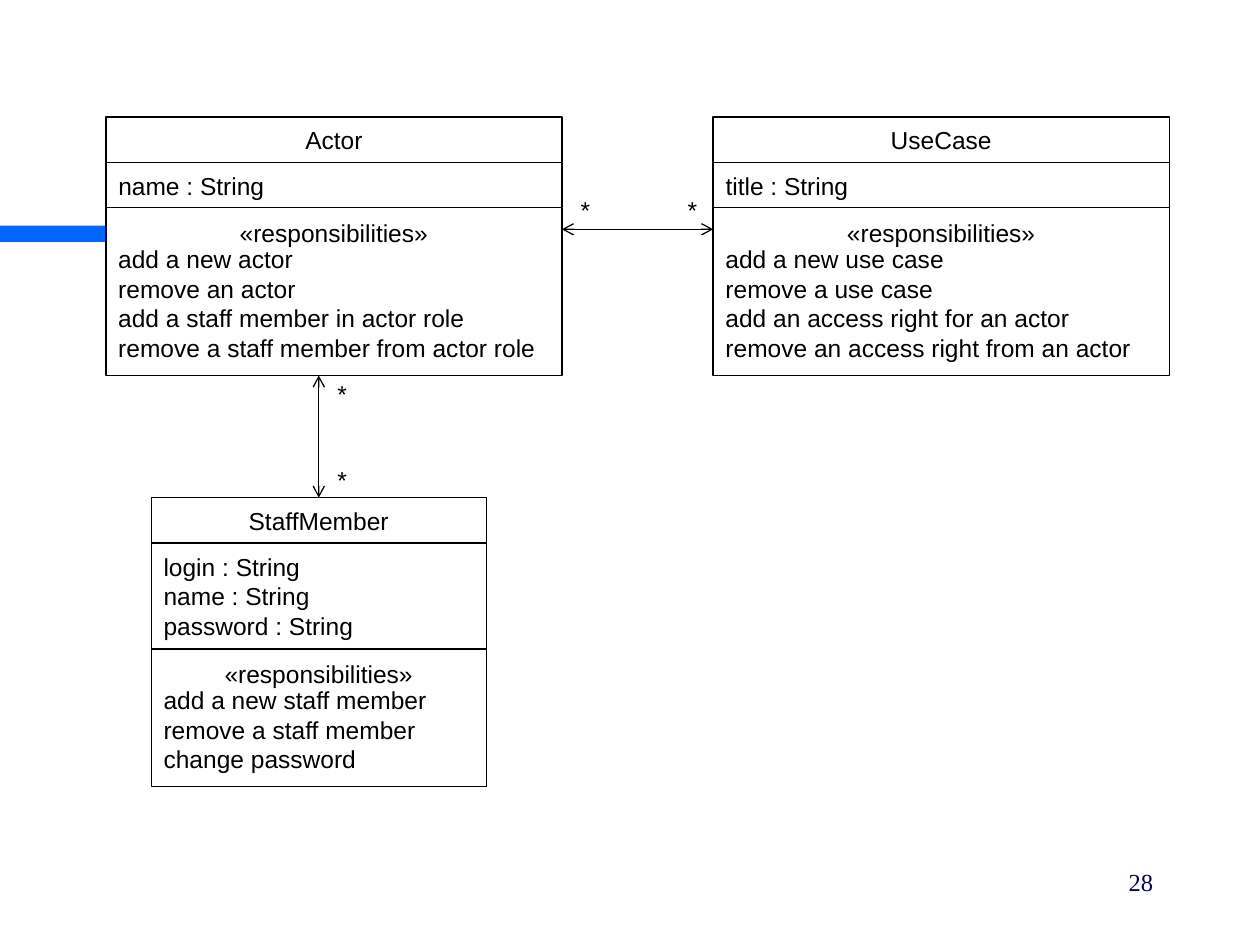
import pptx
import pptx.util
import pptx.dml.color
import pptx.enum.shapes
import pptx.enum.text
import pptx.oxml
from pptx.oxml.ns import qn
from dataclasses import dataclass

Inches = pptx.util.Inches
Align = pptx.enum.text.PP_ALIGN
Anchor = pptx.enum.text.MSO_ANCHOR
Kind = pptx.enum.shapes.MSO_SHAPE


@dataclass
class Theme:
    ink: str = "000000"
    paper: str = "FFFFFF"
    accent: str = "0066FF"
    navy: str = "000066"
    sans: str = "Arial"
    serif: str = "Times New Roman"
    size: float = 14
    line: float = 0.75
    row: float = 0.24   # height of one text line
    pad: float = 0.12   # space around the lines of a section


def color(code):
    return pptx.dml.color.RGBColor.from_string(code)


def apply(target, values):
    for name, value in values.items():
        setattr(target, name, value)


class Page:
    def __init__(self, slide, theme):
        self.slide = slide
        self.theme = theme

    def label(self, shape, paras, align, font=None, ink=None, **frame):
        t = self.theme
        body = shape.text_frame
        apply(body, {"word_wrap": True, "vertical_anchor": Anchor.TOP, **frame})
        for i, text in enumerate(paras):
            para = body.add_paragraph() if i else body.paragraphs[0]
            apply(para, {"text": text, "alignment": align})
            apply(para.font, {"name": font or t.sans, "size": pptx.util.Pt(t.size)})
            para.font.color.rgb = color(ink or t.ink)

    def rect(self, x, y, w, h, fill, line=True):
        shape = self.slide.shapes.add_shape(
            Kind.RECTANGLE, Inches(x), Inches(y), Inches(w), Inches(h))
        shape.shadow.inherit = False
        shape.fill.solid()
        shape.fill.fore_color.rgb = color(fill)
        if line:
            shape.line.color.rgb = color(self.theme.ink)
            shape.line.width = pptx.util.Pt(self.theme.line)
        else:
            shape.line.fill.background()
        return shape

    def text(self, x, y, w, h, text, align=Align.LEFT, **style):
        box = self.slide.shapes.add_textbox(
            Inches(x), Inches(y), Inches(w), Inches(h))
        self.label(box, [text], align, **style)

    def arrow(self, x1, y1, x2, y2):
        link = self.slide.shapes.add_connector(
            pptx.enum.shapes.MSO_CONNECTOR.STRAIGHT,
            Inches(x1), Inches(y1), Inches(x2), Inches(y2))
        link.line.color.rgb = color(self.theme.ink)
        link.line.width = pptx.util.Pt(self.theme.line)
        props = link._element.spPr
        edge = props.find(qn("a:ln"))
        for end in ("a:headEnd", "a:tailEnd"):
            edge.append(edge.makeelement(qn(end), {"type": "arrow"}))
        props.append(props.makeelement(qn("a:effectLst"), {}))

    def entity(self, x, y, w, name, fields, tasks, span):
        t = self.theme
        # Name and attribute sections
        for lines, align in (([name], Align.CENTER), (fields, Align.LEFT)):
            h = t.pad + t.row * len(lines)
            box = self.rect(x, y, w, h, t.paper)
            self.label(box, lines, align, vertical_anchor=Anchor.MIDDLE)
            y += h
        # Responsibilities: heading in the box, tasks below it
        rows = t.row * len(tasks)
        box = self.rect(x, y, w, 0.37 + rows, t.paper)
        self.label(box, ["«responsibilities»"], Align.CENTER,
                   margin_top=Inches(0.08))
        self.text(x, y + t.row, span, 0.08 + rows, "\v".join(tasks))


def main():
    deck = pptx.Presentation()
    apply(deck, {"slide_width": Inches(10), "slide_height": Inches(7.5)})
    theme = Theme()
    page = Page(deck.slides.add_slide(deck.slide_layouts[6]), theme)

    # Accent bar behind the diagram
    page.rect(0, 1.79, 3.66, 0.13, theme.accent, line=False)

    # Classes
    page.entity(0.84, 0.93, 3.62, "Actor", ["name : String"], [
        "add a new actor", "remove an actor",
        "add a staff member in actor role",
        "remove a staff member from actor role"], 3.86)
    page.entity(5.66, 0.93, 3.62, "UseCase", ["title : String"], [
        "add a new use case", "remove a use case",
        "add an access right for an actor",
        "remove an access right from an actor"], 3.86)
    page.entity(1.2, 3.95, 2.66, "StaffMember",
                ["login : String", "name : String", "password : String"],
                ["add a new staff member", "remove a staff member",
                 "change password"], 2.54)

    # Associations and their multiplicities
    page.arrow(2.53, 2.98, 2.53, 3.95)
    page.arrow(4.46, 1.82, 5.66, 1.82)
    for x, y in ((2.58, 2.96), (2.58, 3.64), (4.51, 1.5), (5.36, 1.5)):
        page.text(x, y, 0.27, 0.34, "*", Align.CENTER, word_wrap=False)

    # Page number
    page.text(7.17, 6.83, 2.08, 0.5, "28", Align.RIGHT,
              font=theme.serif, ink=theme.navy)

    deck.save("out.pptx")


if __name__ == "__main__":
    main()
